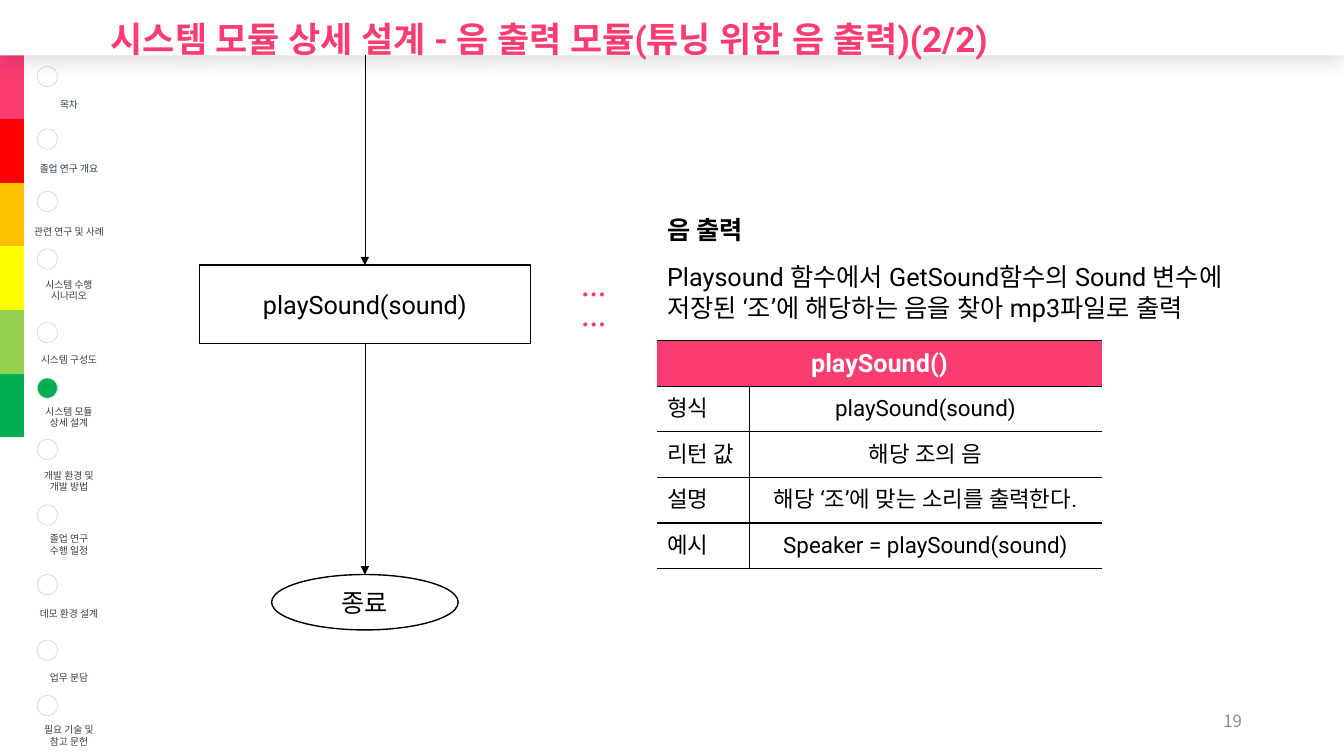
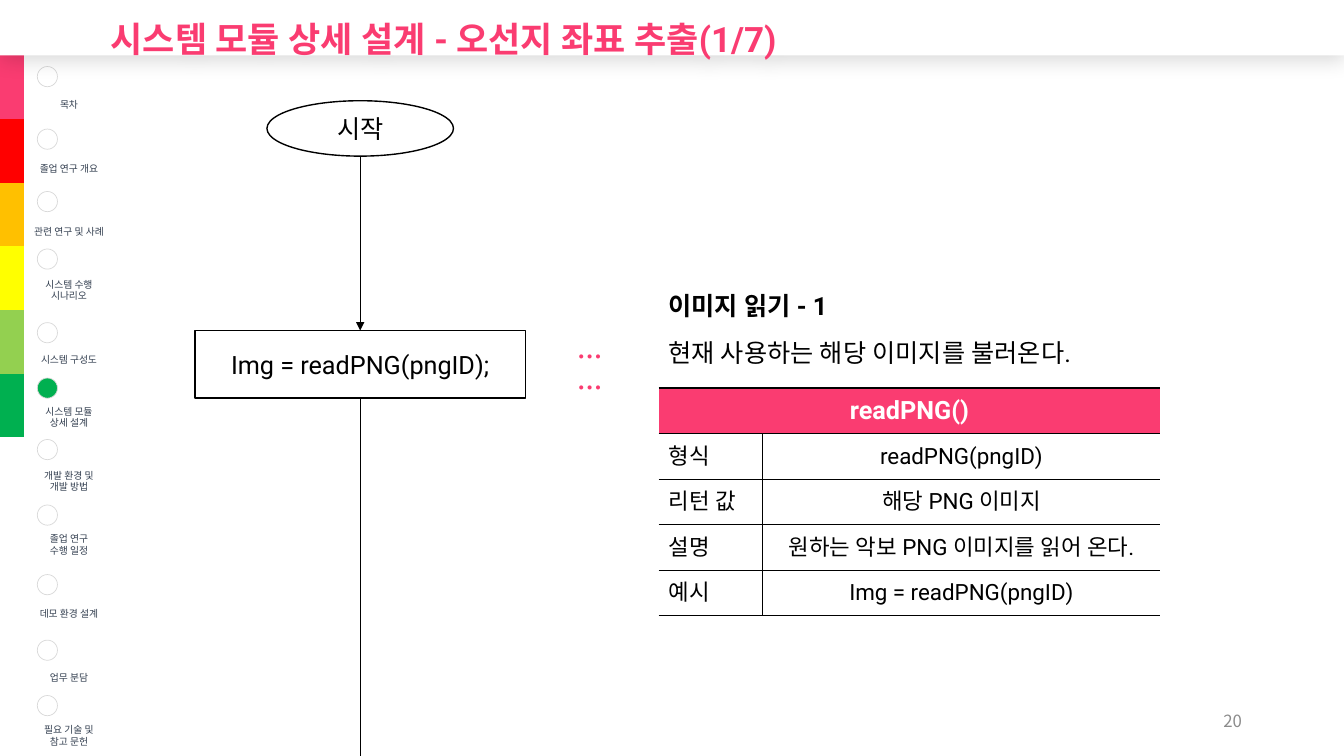
"""Build two slides that detail the modules of a music system."""
from lxml import etree
from pptx import Presentation
from pptx.dml.color import RGBColor
from pptx.enum.shapes import MSO_CONNECTOR, MSO_SHAPE
from pptx.enum.text import MSO_ANCHOR, MSO_AUTO_SIZE, PP_ALIGN
from pptx.oxml import parse_xml
from pptx.oxml.ns import nsdecls, qn
from pptx.util import Inches, Pt

LEFT, MID, RIGHT = PP_ALIGN.LEFT, PP_ALIGN.CENTER, PP_ALIGN.RIGHT
CENTER, LOW = MSO_ANCHOR.MIDDLE, MSO_ANCHOR.BOTTOM
OVAL, STEP = MSO_SHAPE.OVAL, MSO_SHAPE.FLOWCHART_PROCESS
LINE, FIXED = MSO_CONNECTOR.STRAIGHT, MSO_AUTO_SIZE.NONE

HEX = {"pink": "FA3C71", "red": "FF0000", "gold": "FFC000", "yellow": "FFFF00",
       "lime": "93D050", "green": "00B050", "white": "FFFFFF", "black": "000000",
       "slate": "333F50", "gray": "8C8C8C", "pale": "D9D9D9"}
RGB = {name: RGBColor.from_string(code) for name, code in HEX.items()}
MAIN, SANS = "Roboto", "Noto Sans CJK KR"
PLAIN = "{2D5ABB26-0587-4C30-8999-92F81FD0307C}"
BAND = 7.33

MENU = [
    ("pink", 8.8, ["목차"]),
    ("red", 17.07, ["졸업 연구 개요"]),
    ("gold", 25.33, ["관련 연구 및 사례"]),
    ("yellow", 32.93, ["시스템 수행", "시나리오"]),
    ("lime", 42.67, ["시스템 구성도"]),
    ("green", 50, ["시스템 모듈", "상세 설계"]),
    ("white", 58.13, ["개발 환경 및", "개발 방법"]),
    ("white", 66.8, ["졸업 연구", "수행 일정"]),
    ("white", 76, ["데모 환경 설계"]),
    ("white", 84.67, ["업무 분담"]),
    ("white", 92, ["필요 기술 및", "참고 문헌"]),
]
HERE = 5
HEADS = ["형식", "리턴 값", "설명", "예시"]

SLIDES = [
    {"page": "19",
     "title": "시스템 모듈 상세 설계 - 음 출력 모듈(튜닝 위한 음 출력)(2/2)",
     "axis": 27.15,
     "nodes": [(STEP, 35.07, 24.6, 10.4, "playSound(sound)", MAIN),
               (OVAL, 76, 13.88, 7.33, "종료", SANS)],
     "links": [(BAND, 35.07, True), (45.47, 76, True)],
     "dots": (42.53, 36.27),
     "note": (48.9, 27.73, 48.3, 15.73),
     "text": ["음 출력", "Playsound 함수에서 GetSound함수의 Sound 변수에",
              "저장된 ‘조’에 해당하는 음을 찾아 mp3파일로 출력"],
     "grid": (48.9, 45.07, 33.08),
     "name": "playSound()",
     "cells": ["playSound(sound)", "해당 조의 음", "해당 ‘조’에 맞는 소리를 출력한다.",
               "Speaker = playSound(sound)"]},
    {"page": "20",
     "title": "시스템 모듈 상세 설계 - 오선지 좌표 추출(1/7)",
     "axis": 26.8,
     "nodes": [(STEP, 43.73, 24.6, 8.93, "Img = readPNG(pngID);", MAIN),
               (OVAL, 13.33, 13.88, 7.33, "시작", MAIN)],
     "links": [(20.66, 43.73, True), (52.66, 100, False)],
     "dots": (42.23, 44.53),
     "note": (49, 37.73, 45.38, 11.73),
     "text": ["이미지 읽기 - 1", "현재 사용하는 해당 이미지를 불러온다."],
     "grid": (49, 51.33, 37.35),
     "name": "readPNG()",
     "cells": ["readPNG(pngID)", "해당 PNG 이미지", "원하는 악보 PNG 이미지를 읽어 온다.",
               "Img = readPNG(pngID)"]},
]

deck = Presentation()
deck.slide_width, deck.slide_height = Inches(13.333), Inches(7.5)
COL, ROW = deck.slide_width / 100, deck.slide_height / 100


def spot(x, y, w, h):
    """Turn columns and rows into slide lengths."""
    return int(x * COL), int(y * ROW), int(w * COL), int(h * ROW)


def write(frame, lines, size, color="black", align=LEFT, bold=False, face=MAIN):
    """Fill a text frame with one paragraph per line."""
    frame.text = "\n".join(lines)
    for para in frame.paragraphs:
        para.alignment = align
        font = para.font
        font.size, font.bold, font.name = Pt(size), bold, face
        font.color.rgb = RGB[color]
        etree.SubElement(font._element, qn("a:ea"), typeface=MAIN)


for data in SLIDES:
    slide = deck.slides.add_slide(deck.slide_layouts[5])
    shapes = slide.shapes

    page = shapes.add_textbox(*spot(70.65, 92.67, 22.5, 5.33)).text_frame
    page.word_wrap, page.vertical_anchor = True, CENTER
    write(page, [data["page"]], 12, "gray", RIGHT, face=SANS)

    menu = shapes.add_table(len(MENU), 2, *spot(0, BAND, 6.97, 100 - BAND)).table
    menu._tbl.tblPr.find(qn("a:tableStyleId")).text = PLAIN
    menu.first_row = menu.horz_banding = False
    menu.columns[0].width, menu.columns[1].width = int(0.3 * COL), int(6.67 * COL)
    for i, (color, top, lines) in enumerate(MENU):
        tab, cell = menu.cell(i, 0), menu.cell(i, 1)
        for part, tint in ((tab, color), (cell, "white")):
            part.fill.solid()
            part.fill.fore_color.rgb = RGB[tint]
        cell.margin_left = cell.margin_right = cell.margin_top = 0
        cell.margin_bottom, cell.vertical_anchor = Inches(0.08), LOW
        write(cell.text_frame, lines, 7, "slate", MID)
        dot = shapes.add_shape(OVAL, *spot(2.78, top, 1.5, 2.67))
        dot.shadow.inherit = False
        dot.fill.solid()
        dot.fill.fore_color.rgb = RGB["green" if i == HERE else "white"]
        dot.line.color.rgb, dot.line.width = RGB["pale"], Pt(0.5)

    title = shapes.title
    title.left, title.top, title.width, title.height = spot(0, 0, 100, BAND)
    title.fill.solid()
    title.fill.fore_color.rgb = RGB["white"]
    title._element.spPr.append(parse_xml(
        f'<a:effectLst {nsdecls("a")}><a:outerShdw blurRad="190500" dist="38100" '
        f'dir="5400000" algn="t" rotWithShape="0"><a:srgbClr val="{HEX["black"]}">'
        '<a:alpha val="15000"/></a:srgbClr></a:outerShdw></a:effectLst>'))
    frame = title.text_frame
    frame.auto_size, frame.vertical_anchor = FIXED, CENTER
    frame.margin_left = Inches(1.1)
    write(frame, [data["title"]], 25, "pink", bold=True)
    frame.paragraphs[0].line_spacing = 1.5
    shapes._spTree.append(title._element)

    axis = data["axis"]
    for kind, top, wide, high, text, face in data["nodes"]:
        node = shapes.add_shape(kind, *spot(axis - wide / 2, top, wide, high))
        node.shadow.inherit = False
        node.fill.solid()
        node.fill.fore_color.rgb = RGB["white"]
        node.line.color.rgb, node.line.width = RGB["black"], Pt(1)
        node.text_frame.vertical_anchor = CENTER
        write(node.text_frame, [text], 18, align=MID, face=face)
    for start, end, arrow in data["links"]:
        link = shapes.add_connector(LINE, *spot(axis, start, axis, end))
        link.line.color.rgb, link.line.width = RGB["black"], Pt(0.5)
        if arrow:
            etree.SubElement(link.line._get_or_add_ln(), qn("a:tailEnd"), type="triangle")
        etree.SubElement(link._element.spPr, qn("a:effectLst"))

    note = shapes.add_textbox(*spot(*data["note"])).text_frame
    note.word_wrap = True
    write(note, data["text"], 18)
    note.paragraphs[0].font.bold = True
    note.paragraphs[1].space_before = Pt(12)

    dots = shapes.add_textbox(*spot(*data["dots"], 4.88, 5.33)).text_frame
    dots.word_wrap = True
    write(dots, ["……"], 18, "pink", bold=True, face=SANS)

    x, y, wide = data["grid"]
    rows = [(data["name"], ""), *zip(HEADS, data["cells"])]
    grid = shapes.add_table(len(rows), 2, *spot(x, y, wide, 6.03 * len(rows))).table
    grid._tbl.tblPr.find(qn("a:tableStyleId")).text = PLAIN
    grid.first_row = grid.horz_banding = False
    grid.columns[0].width = int(wide * 0.207 * COL)
    grid.columns[1].width = int(wide * 0.793 * COL)
    grid.cell(0, 0).merge(grid.cell(0, 1))
    for r, row in enumerate(rows):
        for c, text in enumerate(row):
            cell = grid.cell(r, c)
            cell.vertical_anchor = CENTER
            if r == 0:
                cell.fill.solid()
                cell.fill.fore_color.rgb = RGB["pink"]
            else:
                cell.fill.background()
            if text:
                head = r == 0
                write(cell.text_frame, [text], 18 if head else 16,
                      "white" if head else "black", MID if head or c else LEFT, head)
            sides = ["lnL", "lnT", "lnB"] if r and c else ["lnT", "lnB"]
            for n, side in enumerate(sides):
                cell._tc.get_or_add_tcPr().insert(n, parse_xml(
                    f'<a:{side} {nsdecls("a")} w="12700"><a:solidFill>'
                    f'<a:srgbClr val="{HEX["black"]}"/></a:solidFill></a:{side}>'))

deck.save("out.pptx")
